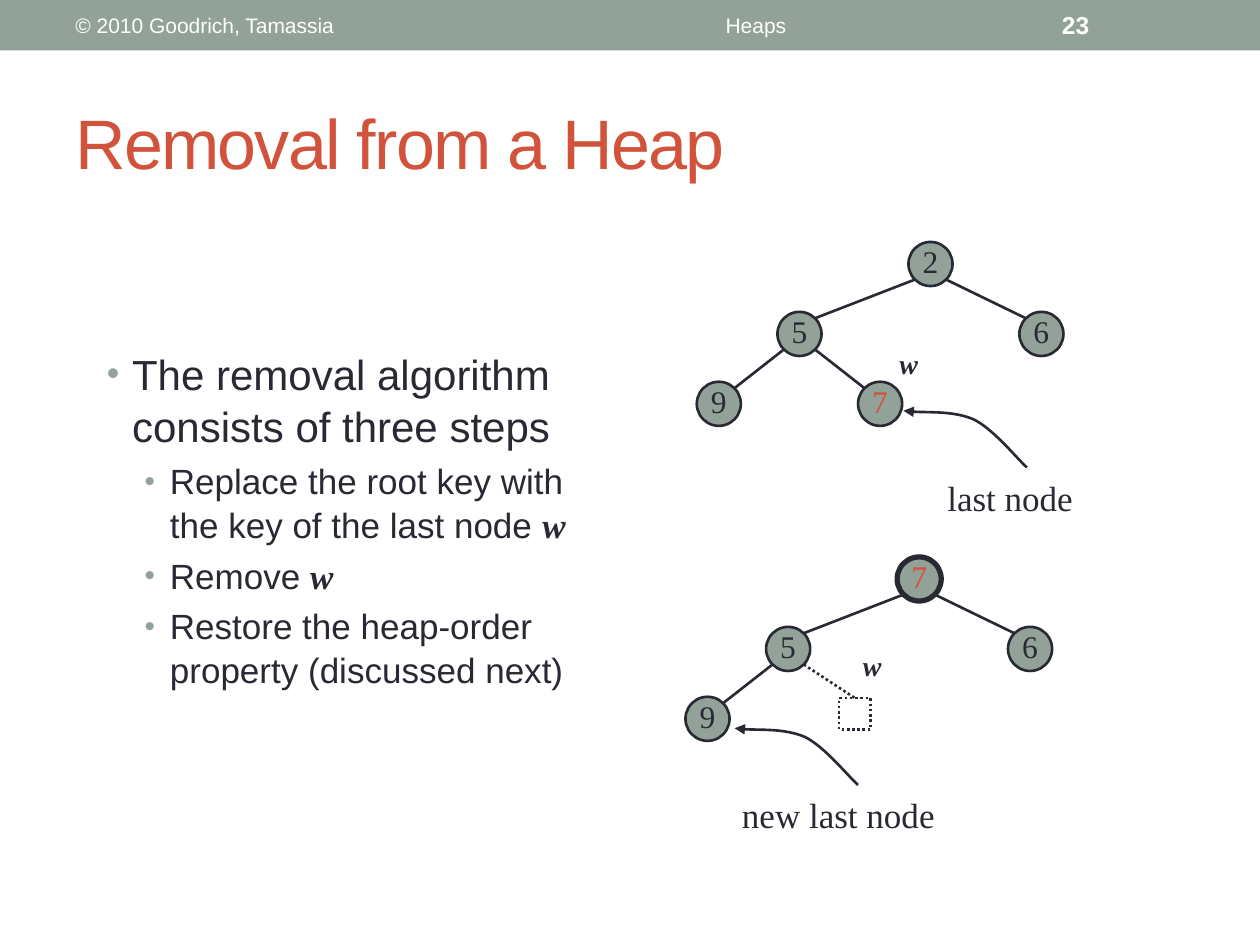
from lxml import etree
from pptx import Presentation
from pptx.dml.color import RGBColor
from pptx.enum.dml import MSO_LINE
from pptx.enum.shapes import MSO_CONNECTOR, MSO_SHAPE
from pptx.enum.text import MSO_ANCHOR, PP_ALIGN
from pptx.oxml.ns import qn
from pptx.util import Inches, Pt

SAGE = RGBColor(0x93, 0xA2, 0x99)
RUST = RGBColor(0xD2, 0x53, 0x3C)
INK = RGBColor(0x29, 0x29, 0x34)
WHITE = RGBColor(0xFF, 0xFF, 0xFF)
SANS, SERIF = "Arial", "Times New Roman"
DOTTED = MSO_LINE.ROUND_DOT
STRAIGHT = MSO_CONNECTOR.STRAIGHT
OVAL, RECT = MSO_SHAPE.OVAL, MSO_SHAPE.RECTANGLE
MIDDLE, TOP = MSO_ANCHOR.MIDDLE, MSO_ANCHOR.TOP
LEFT, CENTER = PP_ALIGN.LEFT, PP_ALIGN.CENTER

COL, ROW = 0.08, 0.555
NODE = 0.35
DIAGONAL = NODE / 2 * 0.71
SWOOP = [(0.98, 0.45), (0.91, 0.39), (0.72, 0.15), (0.56, 0.07),
         (0.4, 0), (0.11, 0.02), (0, 0)]
STEPS = [
    (0, "The removal algorithm consists of three steps", ""),
    (1, "Replace the root key with the key of the last node ", "w"),
    (1, "Remove ", "w"),
    (1, "Restore the heap-order property (discussed next)", ""),
]


def add_run(p, text, size, font, color, bold=False, italic=False):
    r = p.add_run()
    r.text = text
    f = r.font
    f.size, f.name, f.bold, f.italic = Pt(size), font, bold, italic
    f.color.rgb = color
    return r


def add_box(s, box, anchor=TOP, wrap=True):
    tf = s.shapes.add_textbox(*map(Inches, box)).text_frame
    tf.word_wrap, tf.vertical_anchor = wrap, anchor
    return tf


def add_label(s, box, text, size, font, color, anchor=TOP, wrap=True,
              align=LEFT, bold=False, italic=False):
    p = add_box(s, box, anchor, wrap).paragraphs[0]
    p.alignment = align
    return add_run(p, text, size, font, color, bold, italic)


def add_figure(s, kind, box, fill, line=None, width=1.5):
    sp = s.shapes.add_shape(kind, *map(Inches, box))
    sp.shadow.inherit = False
    sp.fill.solid()
    sp.fill.fore_color.rgb = fill
    if line is None:
        sp.line.fill.background()
    else:
        sp.line.color.rgb, sp.line.width = line, Pt(width)
    return sp


def add_node(s, root, col, row, key, color=INK, width=1.5):
    x, y = root[0] + col * COL, root[1] + row * ROW
    sp = add_figure(s, OVAL, (x, y, NODE, NODE), SAGE, INK, width)
    tf = sp.text_frame
    tf.margin_left = tf.margin_top = tf.margin_right = 0
    tf.margin_bottom = Inches(0.05)
    tf.word_wrap, tf.vertical_anchor = False, MIDDLE
    p = tf.paragraphs[0]
    p.alignment = CENTER
    add_run(p, key, 18, SERIF, color)
    return x + NODE / 2, y + NODE / 2


def add_edge(s, parent, child):
    side = DIAGONAL if child[0] > parent[0] else -DIAGONAL
    ends = (parent[0] + side, parent[1] + DIAGONAL,
            child[0] - side, child[1] - DIAGONAL)
    cn = s.shapes.add_connector(STRAIGHT, *map(Inches, ends))
    cn.line.color.rgb, cn.line.width = INK, Pt(1.5)
    etree.SubElement(cn._element.spPr, qn("a:effectLst"))
    return cn


def add_swoop(s, x, y):
    points = [(Inches(x + dx), Inches(y + dy)) for dx, dy in SWOOP]
    fb = s.shapes.build_freeform(*points[0])
    fb.add_line_segments(points[1:], close=False)
    sp = fb.convert_to_shape()
    sp.shadow.inherit = False
    sp.fill.background()
    sp.line.color.rgb, sp.line.width = INK, Pt(1.5)
    etree.SubElement(sp.line._get_or_add_ln(), qn("a:tailEnd"), type="triangle")
    segments = list(sp._element.iter(qn("a:lnTo")))
    outline = segments[0].getparent()
    for i in range(0, len(segments), 3):
        curve = etree.SubElement(outline, qn("a:cubicBezTo"))
        for segment in segments[i:i + 3]:
            curve.append(segment[0])
            outline.remove(segment)


def add_bullet(p, level):
    pPr = p._p.get_or_add_pPr()
    pPr.set("marL", str(Inches(0.2 + 0.3 * level)))
    pPr.set("indent", str(Inches(-0.2)))
    color = etree.SubElement(pPr, qn("a:buClr"))
    etree.SubElement(color, qn("a:srgbClr"), val=str(SAGE))
    etree.SubElement(pPr, qn("a:buSzPct"), val="85000")
    etree.SubElement(pPr, qn("a:buFont"), typeface=SANS)
    etree.SubElement(pPr, qn("a:buChar"), char="•")


def add_steps(s):
    tf = add_box(s, (0.75, 2.7, 4.25, 4.05))
    for i, (level, text, variable) in enumerate(STEPS):
        p = tf.add_paragraph() if i else tf.paragraphs[0]
        size = 20 if level else 24
        p.level = level
        add_bullet(p, level)
        p.line_spacing = 1.04
        if i:
            p.space_before = Pt(size * 0.2)
        add_run(p, text, size, SANS, INK)
        if variable:
            add_run(p, variable, size, SERIF, INK, True, True)


def add_tree(s, root, top_key, top_color, top_width):
    top = add_node(s, root, 0, 0, top_key, top_color, top_width)
    right = add_node(s, root, 11, 1, "6")
    left = add_node(s, root, -13, 1, "5")
    leaf = add_node(s, root, -21, 2, "9")
    for parent, child in ((top, left), (top, right), (left, leaf)):
        add_edge(s, parent, child)
    return left


def add_callout(s, tip, box, text, w_box):
    add_swoop(s, *tip)
    add_label(s, box, text, 20, SERIF, INK, wrap=False)
    add_label(s, w_box, "w", 16, SERIF, INK, wrap=False, bold=True, italic=True)


def main():
    prs = Presentation()
    prs.slide_width, prs.slide_height = Inches(10), Inches(7.5)
    s = prs.slides.add_slide(prs.slide_layouts[6])

    add_figure(s, RECT, (0, 0, 10, 0.4), SAGE)
    add_label(s, (0.5, 0.02, 3.17, 0.36), "© 2010 Goodrich, Tamassia",
              12, SANS, WHITE, MIDDLE)
    add_label(s, (3.75, 0.02, 4.5, 0.36), "Heaps", 12, SANS, WHITE, MIDDLE,
              align=CENTER)
    add_label(s, (8.33, 0.02, 1.17, 0.36), "23", 14, SANS, WHITE, MIDDLE,
              bold=True)
    title = add_label(s, (0.5, 0.58, 9, 1.08), "Removal from a Heap",
                      40, SANS, RUST, MIDDLE)
    title._r.get_or_add_rPr().set("spc", "-100")
    add_steps(s)

    root = (7.21, 1.92)
    left = add_tree(s, root, "2", INK, 1.5)
    add_edge(s, left, add_node(s, root, -5, 2, "7", RUST))
    add_callout(s, (7.17, 3.26), (7.42, 3.73, 1.32, 0.43), "last node",
                (7.04, 2.7, 0.42, 0.5))

    left = add_tree(s, (7.12, 4.42), "7", RUST, 3)
    removed = add_figure(s, RECT, (6.66, 5.54, 0.25, 0.25), WHITE, INK)
    removed.line.dash_style = DOTTED
    edge = add_edge(s, left, (6.79, 5.54))
    edge.line.dash_style = DOTTED
    edge.end_connect(removed, 0)
    add_callout(s, (5.83, 5.78), (5.79, 6.25, 1.91, 0.43), "new last node",
                (6.75, 5.1, 0.42, 0.5))

    prs.save("out.pptx")


if __name__ == "__main__":
    main()
